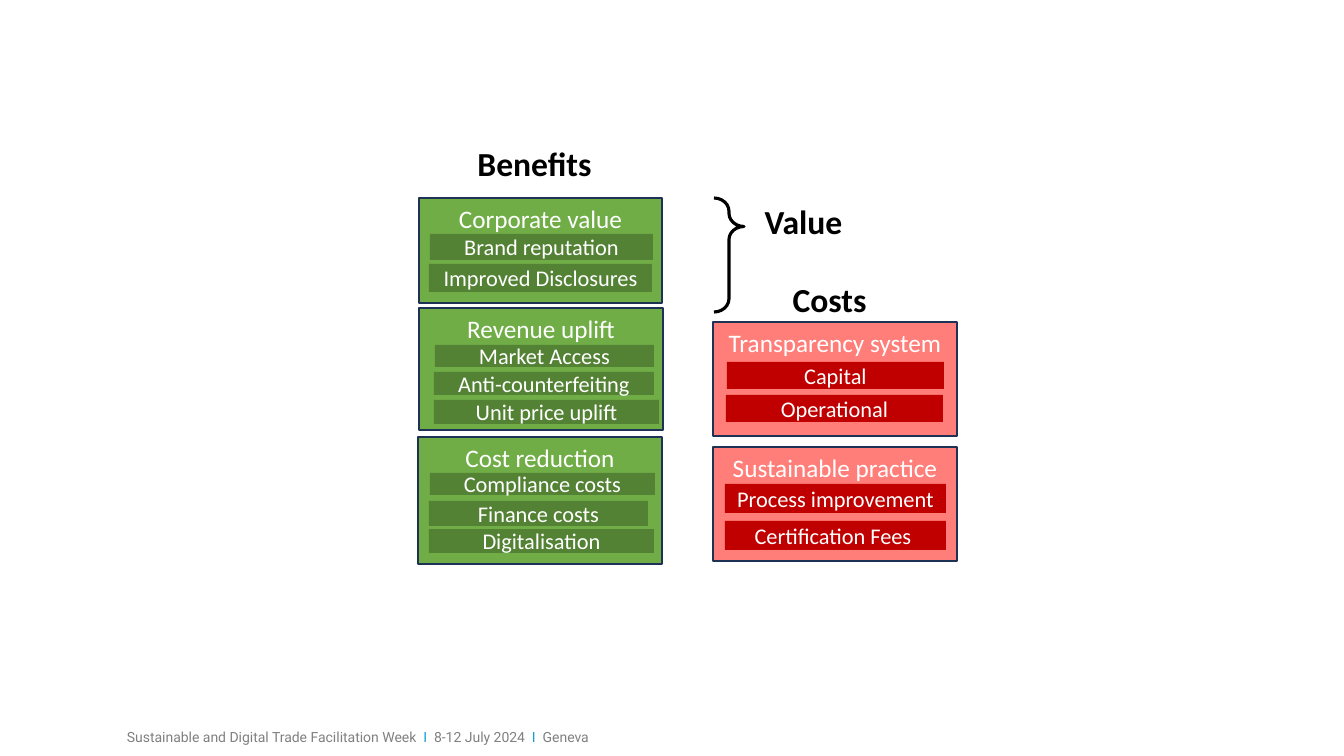
from pptx import Presentation
from pptx.dml.color import RGBColor
from pptx.enum.shapes import MSO_SHAPE as Kind
from pptx.enum.text import MSO_ANCHOR as Anchor, MSO_AUTO_SIZE as Fit, PP_ALIGN as Align
from pptx.util import Pt

GREEN, LEAF = "70AD47", "548235"
PINK, RED = "FF7E79", "C00000"
WHITE, BLACK, NAVY = "FFFFFF", "000000", "1E3256"
GREY, BLUE = "808080", "109FDB"

CARDS = [
    ("Corporate value", (419, 198, 243, 105), GREEN, LEAF, [
        ("Brand reputation", (430, 234, 223, 26)),
        ("Improved Disclosures", (429, 264, 223, 28))]),
    ("Revenue uplift", (419, 308, 244, 122), GREEN, LEAF, [
        ("Market Access", (435, 345, 219, 22)),
        ("Anti-counterfeiting", (434, 372, 220, 23)),
        ("Unit price uplift", (434, 400, 225, 24))]),
    ("Cost reduction", (418, 437, 244, 127), GREEN, LEAF, [
        ("Compliance costs", (430, 473, 225, 22)),
        ("Finance costs", (429, 501, 219, 25)),
        ("Digitalisation", (429, 529, 225, 24))]),
    ("Transparency system", (713, 322, 244, 114), PINK, RED, [
        ("Capital", (727, 362, 217, 27)),
        ("Operational", (726, 395, 217, 27))]),
    ("Sustainable practice", (713, 447, 244, 114), PINK, RED, [
        ("Process improvement", (725, 484, 221, 29)),
        ("Certification Fees ", (725, 521, 221, 29))]),
]
HEADS = [
    ("Benefits", (419, 138, 231, 50)),
    ("Costs", (714, 274, 231, 50)),
    ("Value", (688, 196, 231, 50)),
]
BRACE = (714, 198, 30, 114)
FOOT = [
    ("Sustainable and Digital Trade Facilitation Week  ", GREY),
    ("I", BLUE),
    ("  8-12 July 2024  ", GREY),
    ("I", BLUE),
    ("  Geneva", GREY),
]
FOOT_BOX = (117, 724, 1161, 27)


def px(n):
    return round(n * 914400 / 100.8)


def rgb(code):
    return RGBColor.from_string(code)


def place(box):
    return [px(n) for n in box]


def write(shape, text, size, color, bold=False):
    para = shape.text_frame.paragraphs[0]
    para.text = text
    para.alignment = Align.CENTER
    font = para.font
    font.name, font.size, font.bold = "Calibri", Pt(size), bold
    font.color.rgb = rgb(color)


def block(text, box, fill, size, anchor, edge=None):
    shape = slide.shapes.add_shape(Kind.RECTANGLE, *place(box))
    shape.shadow.inherit = False
    shape.fill.solid()
    shape.fill.fore_color.rgb = rgb(fill)
    if edge:
        shape.line.color.rgb = rgb(edge)
        shape.line.width = Pt(1)
    else:
        shape.line.fill.background()
    shape.text_frame.word_wrap = True
    shape.text_frame.vertical_anchor = anchor
    write(shape, text, size, WHITE)


def label(box):
    shape = slide.shapes.add_textbox(*place(box))
    shape.text_frame.word_wrap = True
    shape.text_frame.auto_size = Fit.SHAPE_TO_FIT_TEXT
    return shape


deck = Presentation()
deck.slide_width, deck.slide_height = px(1344), px(756)
slide = deck.slides.add_slide(deck.slide_layouts[6])

for name, box, fill, dark, bars in CARDS:
    block(name, box, fill, 18, Anchor.TOP, NAVY)
    for text, spot in bars:
        block(text, spot, dark, 16, Anchor.MIDDLE)

for text, box in HEADS:
    write(label(box), text, 24, BLACK, True)

brace = slide.shapes.add_shape(Kind.RIGHT_BRACE, *place(BRACE))
brace.shadow.inherit = False
brace.fill.background()
brace.line.color.rgb = rgb(BLACK)
brace.line.width = Pt(2.25)
brace.adjustments[0] = 0.44
brace.adjustments[1] = 0.25

para = label(FOOT_BOX).text_frame.paragraphs[0]
para.font.name, para.font.size = "Roboto", Pt(10)
for text, color in FOOT:
    run = para.add_run()
    run.text = text
    run.font.color.rgb = rgb(color)

deck.save("out.pptx")
